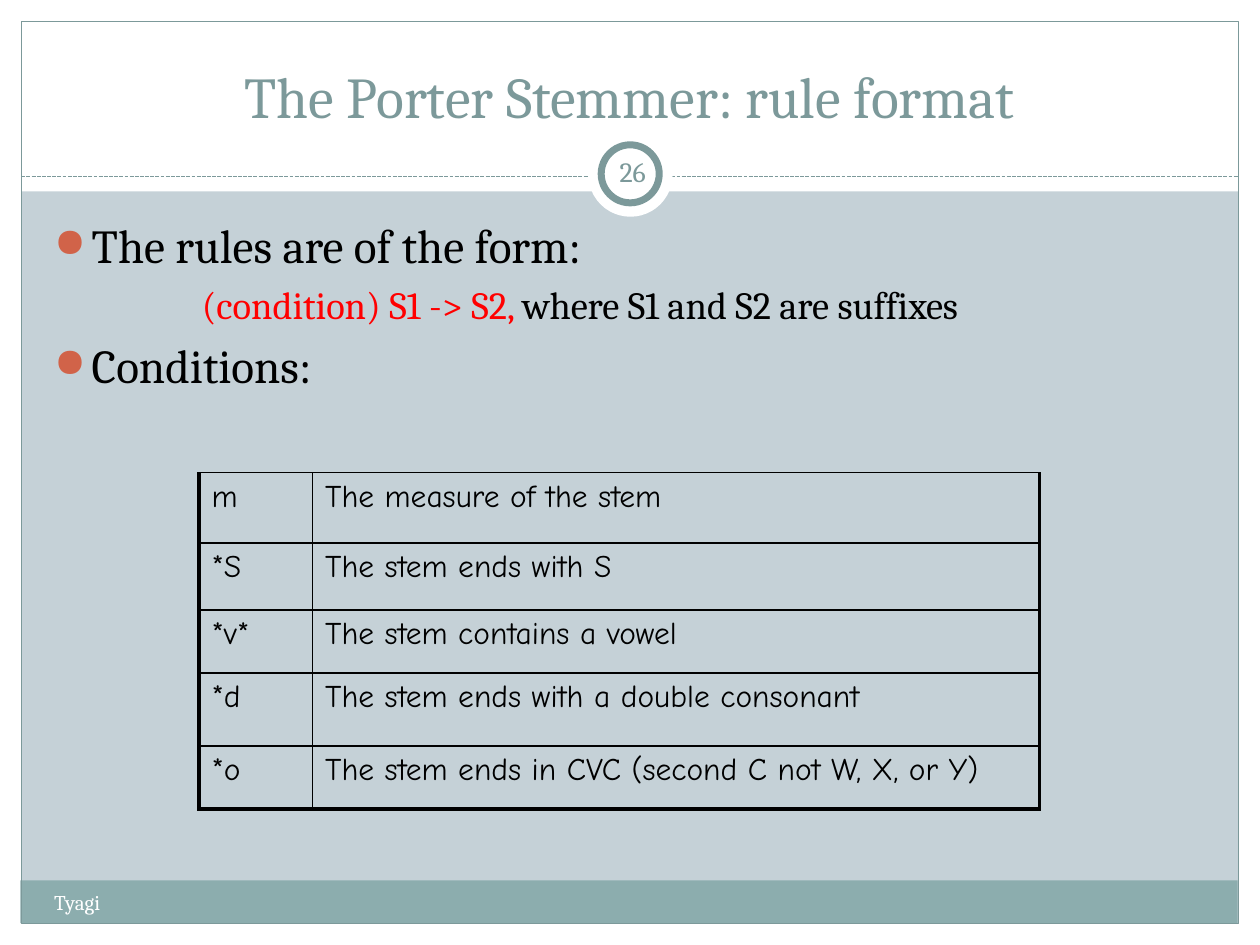
from lxml import etree
from pptx import Presentation
from pptx.dml.color import RGBColor
from pptx.enum.dml import MSO_LINE
from pptx.enum.shapes import MSO_CONNECTOR, MSO_SHAPE
from pptx.enum.text import MSO_ANCHOR, PP_ALIGN
from pptx.oxml.ns import qn
from pptx.util import Cm, Pt

RECTANGLE, OVAL = MSO_SHAPE.RECTANGLE, MSO_SHAPE.OVAL
STRAIGHT, DASH = MSO_CONNECTOR.STRAIGHT, MSO_LINE.SQUARE_DOT
TOP, MIDDLE, BOTTOM = MSO_ANCHOR.TOP, MSO_ANCHOR.MIDDLE, MSO_ANCHOR.BOTTOM
LEFT, CENTER = PP_ALIGN.LEFT, PP_ALIGN.CENTER
WHITE, BLACK, RED, TEAL = "FFFFFF", "000000", "FF0000", "7C999A"


def color(value):
    return RGBColor.from_string(value)


def add_run(paragraph, text, size, value, font="Cambria"):
    run = paragraph.add_run()
    run.text = text
    run.font.color.rgb = color(value)
    for name, setting in {"size": Pt(size), "name": font}.items():
        setattr(run.font, name, setting)


presentation = Presentation()
for name, length in {"slide_width": Cm(25.4), "slide_height": Cm(19.05)}.items():
    setattr(presentation, name, length)
slide = presentation.slides.add_slide(presentation.slide_layouts[6])
slide.background.fill.solid()
slide.background.fill.fore_color.rgb = color("C5D1D7")

connector = slide.shapes.add_connector(STRAIGHT, Cm(0.43), Cm(3.56), Cm(24.97), Cm(3.56))

shapes = [
    (RECTANGLE, (0, 18.62, 25.4, 0.43), WHITE, 0),
    (RECTANGLE, (0, 0, 25.4, 3.86), WHITE, 0),
    (RECTANGLE, (0, 0, 0.43, 19.05), WHITE, 0),
    (RECTANGLE, (24.97, 0, 0.43, 19.05), WHITE, 0),
    (RECTANGLE, (0.41, 17.75, 24.54, 0.86), "8CADAE", 0),
    (RECTANGLE, (0.43, 0.43, 24.54, 18.19), None, 0.75),
    (OVAL, (11.86, 2.67, 1.7, 1.7), WHITE, 0),
    (OVAL, (12.12, 2.92, 1.17, 1.17), WHITE, 4),
]
for kind, box, fill, line_width in shapes:
    if kind == OVAL and not line_width:
        slide.shapes._spTree.append(connector._element)
    shape = slide.shapes.add_shape(kind, *map(Cm, box))
    shape.shadow.inherit = False
    if fill:
        shape.fill.solid()
        shape.fill.fore_color.rgb = color(fill)
    else:
        shape.fill.background()
    if line_width:
        shape.line.color.rgb = color(TEAL)
        shape.line.width = Pt(line_width)
    else:
        shape.line.fill.background()

connector.line.color.rgb = color(TEAL)
for name, setting in {"width": Pt(0.75), "dash_style": DASH}.items():
    setattr(connector.line, name, setting)
etree.SubElement(connector._element.spPr, qn("a:effectLst"))

labels = [
    ("Tyagi", (0.84, 17.81, 9.96, 1.02), 12, WHITE, LEFT, TOP, 0.25),
    ("26", (12.12, 2.84, 1.27, 1.22), 16, TEAL, CENTER, MIDDLE, 0.13),
    ("The Porter Stemmer: rule format", (0.84, 0.64, 23.7, 2.11), 33, TEAL, CENTER, BOTTOM, 0.25),
]
for text, box, size, value, alignment, anchor, margin in labels:
    frame = slide.shapes.add_textbox(*map(Cm, box)).text_frame
    settings = {
        "word_wrap": True,
        "vertical_anchor": anchor,
        "margin_left": Cm(margin),
        "margin_right": Cm(margin),
    }
    for name, setting in settings.items():
        setattr(frame, name, setting)
    paragraph = frame.paragraphs[0]
    paragraph.alignment = alignment
    add_run(paragraph, text, size, value)

body = slide.shapes.add_textbox(Cm(0.84), Cm(4.24), Cm(23.62), Cm(12.7)).text_frame
body.word_wrap = True
body_lines = [
    (True, 27, [("The rules are of the form:", BLACK)]),
    (False, 22, [("(condition) S1 -> S2, ", RED), ("where S1 and S2 are suffixes", BLACK)]),
    (True, 27, [("Conditions:", BLACK)]),
]
for index, (bulleted, size, runs) in enumerate(body_lines):
    paragraph = body.add_paragraph() if index else body.paragraphs[0]
    properties = paragraph._p.get_or_add_pPr()
    if bulleted:
        properties.set("marL", str(Cm(0.76)))
        properties.set("indent", str(-Cm(0.76)))
        bullet_color = etree.SubElement(properties, qn("a:buClr"))
        etree.SubElement(bullet_color, qn("a:srgbClr"), val="D16349")
        etree.SubElement(properties, qn("a:buSzPct"), val="85000")
        etree.SubElement(properties, qn("a:buChar"), char="●")
    else:
        paragraph.level = 1
        properties.set("marL", str(Cm(2.98)))
        properties.set("indent", "0")
        etree.SubElement(properties, qn("a:buNone"))
    if index:
        paragraph.space_before = Pt(size * 0.2)
    for text, value in runs:
        add_run(paragraph, text, size, value)

conditions = [
    ("m", "The measure of the stem", 1.42),
    ("*S", "The stem ends with S", 1.35),
    ("*v*", "The stem contains a vowel", 1.27),
    ("*d", "The stem ends with a double consonant", 1.47),
    ("*o", "The stem ends in CVC (second C not W, X, or Y)", 1.27),
]
table = slide.shapes.add_table(
    len(conditions), 2, Cm(4.01), Cm(9.53), Cm(16.95), Cm(6.78)
).table
for name in ("first_row", "horz_banding"):
    setattr(table, name, False)
for column, width in zip(table.columns, (2.29, 14.66)):
    column.width = Cm(width)
for row_index, (symbol, meaning, height) in enumerate(conditions):
    table.rows[row_index].height = Cm(height)
    for column_index, text in enumerate((symbol, meaning)):
        cell = table.cell(row_index, column_index)
        add_run(cell.text_frame.paragraphs[0], text, 18, BLACK, "Comic Neue")
        thick_sides = {
            "lnL": column_index == 0,
            "lnR": column_index == 1,
            "lnT": False,
            "lnB": row_index == len(conditions) - 1,
        }
        cell_properties = cell._tc.get_or_add_tcPr()
        for side, thick in thick_sides.items():
            border = etree.SubElement(
                cell_properties, qn(f"a:{side}"), w=str(Pt(2.25 if thick else 1))
            )
            border_fill = etree.SubElement(border, qn("a:solidFill"))
            etree.SubElement(border_fill, qn("a:srgbClr"), val=BLACK)
        cell.fill.background()

presentation.save("out.pptx")
